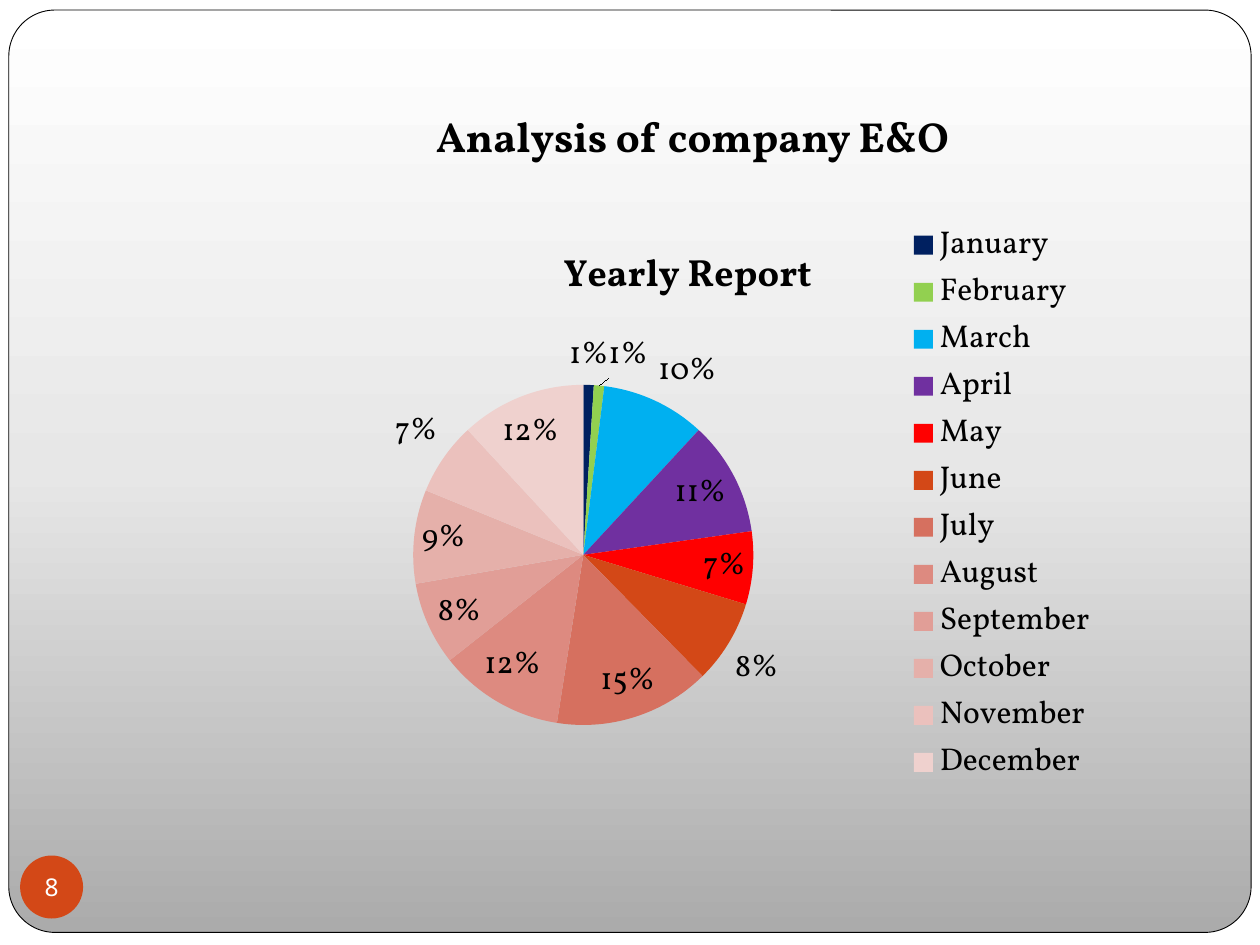
from pptx import Presentation
from pptx.chart.data import CategoryChartData
from pptx.dml.color import RGBColor
from pptx.enum.chart import XL_CHART_TYPE, XL_LEGEND_POSITION
from pptx.enum.shapes import MSO_SHAPE
from pptx.enum.text import MSO_ANCHOR, PP_ALIGN
from pptx.oxml import parse_xml
from pptx.oxml.ns import nsdecls
from pptx.util import Inches, Pt

THEME = {
    "font": "Vollkorn", "number_font": "Noto Sans",
    "heading": 24, "chart_title": 21.6, "chart": 18, "number": 14,
    "black": "000000", "white": "FFFFFF", "accent": "D34817",
    "gradient": [(0, "ABABAB"), (50, "E7E7E7"), (100, "FFFFFF")],
}
# Category, value, slice colour, label position
MONTHS = [
    ("Month", 0, "FFC000", None),
    ("January ", 1, "002060", "outEnd"),
    ("February", 1, "92D050", "outEnd"),
    ("March", 10, "00B0F0", "outEnd"),
    ("April", 11, "7030A0", "bestFit"),
    ("May", 7, "FF0000", "bestFit"),
    ("June", 8, "D34817", "outEnd"),
    ("July", 15, "D6705F", "bestFit"),
    ("August", 12, "DD8A80", "bestFit"),
    ("September", 8, "E19E97", "bestFit"),
    ("October", 9, "E5B0AA", "bestFit"),
    ("November", 7, "EBC1BD", "outEnd"),
    ("December", 12, "EFD1CE", "bestFit"),
]
SHOW = "".join(f'<c:show{name} val="{int(name == "Percent")}"/>' for name in
               ("LegendKey", "Val", "CatName", "SerName", "Percent", "BubbleSize"))


def style(font, size, color, name=THEME["font"], bold=False):
    font.size, font.name, font.bold = Pt(size), name, bold
    font.color.rgb = RGBColor.from_string(color)


def layout(x, y, w=None, h=None, inner=False):
    target = '<c:layoutTarget val="inner"/>' if inner else ""
    modes = '<c:xMode val="edge"/><c:yMode val="edge"/>' if w else ""
    sizes = f'<c:w val="{w}"/><c:h val="{h}"/>' if w else ""
    return (f'<c:layout {nsdecls("c")}><c:manualLayout>{target}{modes}'
            f'<c:x val="{x}"/><c:y val="{y}"/>{sizes}</c:manualLayout></c:layout>')


prs = Presentation()
prs.slide_width, prs.slide_height = Inches(10), Inches(7.5)
s = prs.slides.add_slide(prs.slide_layouts[6])
s.background.fill.solid()
s.background.fill.fore_color.rgb = RGBColor.from_string(THEME["white"])

# Rounded gradient frame
sp = s.shapes.add_shape(MSO_SHAPE.ROUNDED_RECTANGLE, Inches(0.07), Inches(0.08),
                        Inches(9.86), Inches(7.32))
sp.adjustments[0] = 0.05
sp.shadow.inherit = False
sp.line.color.rgb = RGBColor.from_string(THEME["black"])
sp.line.width = Pt(0.5)
stops = "".join(f'<a:gs pos="{pos * 1000}"><a:srgbClr val="{color}"/></a:gs>'
                for pos, color in THEME["gradient"])
sp._element.spPr.find("{*}prstGeom").addnext(parse_xml(
    f'<a:gradFill {nsdecls("a")} rotWithShape="1"><a:gsLst>{stops}</a:gsLst>'
    '<a:lin ang="16200000" scaled="0"/></a:gradFill>'))

# Heading
tf = s.shapes.add_textbox(Inches(3.32), Inches(0.83), Inches(4.35), Inches(0.5)).text_frame
tf.word_wrap = True
p = tf.paragraphs[0]
p.alignment = PP_ALIGN.CENTER
r = p.add_run()
r.text = "Analysis of company E&O"
style(r.font, THEME["heading"], THEME["black"], bold=True)

# Slide number badge
sp = s.shapes.add_shape(MSO_SHAPE.OVAL, Inches(0.16), Inches(6.79), Inches(0.5), Inches(0.5))
sp.shadow.inherit = False
sp.fill.solid()
sp.fill.fore_color.rgb = RGBColor.from_string(THEME["accent"])
sp.line.fill.background()
tf = sp.text_frame
tf.margin_left = tf.margin_right = tf.margin_top = tf.margin_bottom = 0
tf.word_wrap = False
tf.vertical_anchor = MSO_ANCHOR.MIDDLE
p = tf.paragraphs[0]
p.alignment = PP_ALIGN.CENTER
r = p.add_run()
r.text = "8"
style(r.font, THEME["number"], THEME["white"], THEME["number_font"])

# Pie chart
data = CategoryChartData()
data.categories = [month[0] for month in MONTHS]
data.add_series("Series 1", [month[1] for month in MONTHS])
chart = s.shapes.add_chart(XL_CHART_TYPE.PIE, Inches(2), Inches(1.75), Inches(6.92),
                           Inches(4.5), data).chart
style(chart.font, THEME["chart"], THEME["black"])
chart.has_title = True
r = chart.chart_title.text_frame.paragraphs[0].add_run()
r.text = "Yearly Report"
style(r.font, THEME["chart_title"], THEME["black"], bold=True)
plot = chart.plots[0]
plot.vary_by_categories = True
series = plot.series[0]
for i, (_, _, color, _) in enumerate(MONTHS):
    fill = series.points[i].format.fill
    fill.solid()
    fill.fore_color.rgb = RGBColor.from_string(color)

# Pie position inside the chart
area = chart._chartSpace.chart.plotArea
for old in area.findall("{*}layout"):
    area.remove(old)
area.insert(0, parse_xml(layout(0.18, 0.29, 0.4, 0.6, inner=True)))

# Percent labels, with February moved clear of January
labels = ""
for i, (name, _, _, position) in enumerate(MONTHS):
    shift = layout(0.01, 0) if name == "February" else ""
    body = f'{shift}<c:dLblPos val="{position}"/>{SHOW}' if position else '<c:delete val="1"/>'
    labels += f'<c:dLbl><c:idx val="{i}"/>{body}</c:dLbl>'
series._element.find("{*}cat").addprevious(parse_xml(
    f'<c:dLbls {nsdecls("c")}>{labels}<c:numFmt formatCode="0%" sourceLinked="0"/>'
    f'{SHOW}<c:showLeaderLines val="1"/></c:dLbls>'))

# Legend in one full-height column, without the empty first category
chart.has_legend = True
chart.legend.position = XL_LEGEND_POSITION.RIGHT
chart.legend.include_in_layout = False
legend = chart.legend._element
for old in legend.findall("{*}layout"):
    legend.remove(old)
place = legend.find("{*}legendPos")
place.addnext(parse_xml(layout(0.74, 0, 0.24, 1)))
place.addnext(parse_xml(
    f'<c:legendEntry {nsdecls("c")}><c:idx val="0"/><c:delete val="1"/></c:legendEntry>'))

prs.save("out.pptx")
